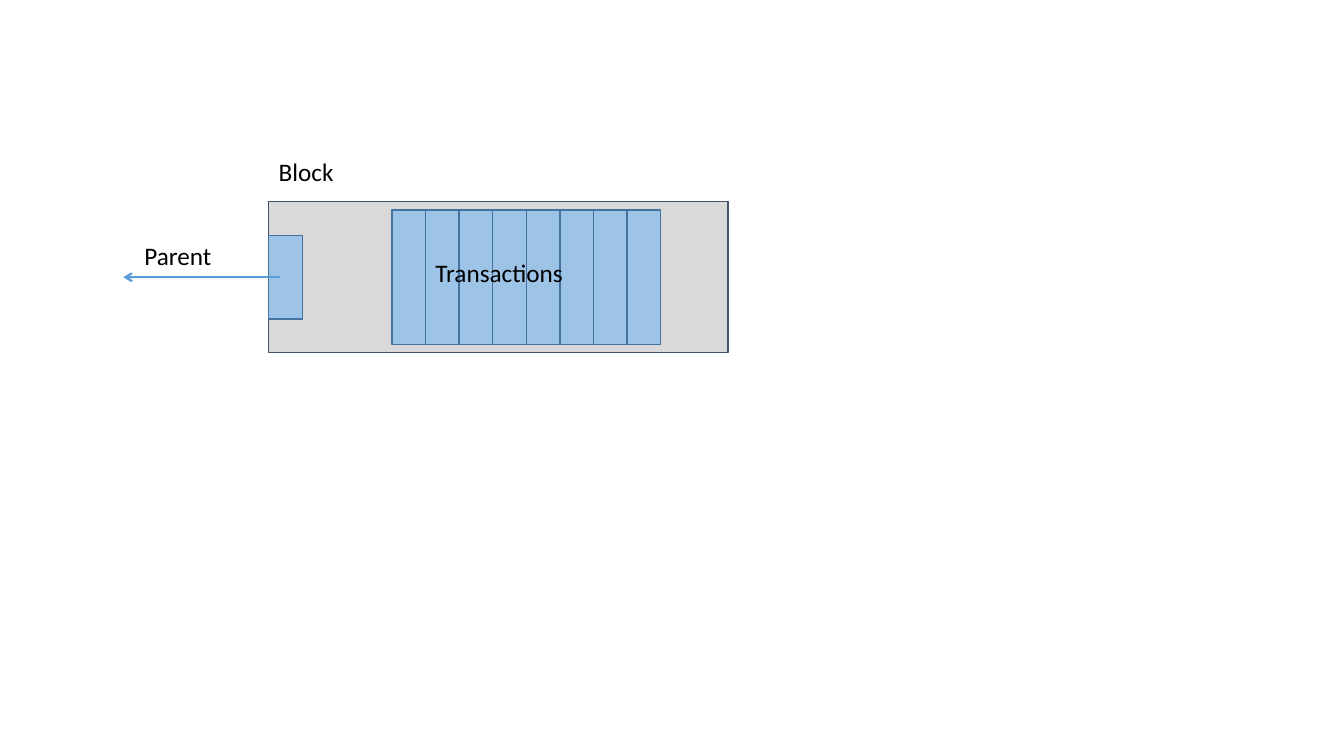
"""Draw a block with its transactions and a link to its parent."""
import pptx
import pptx.dml.color
import pptx.enum.shapes
import pptx.enum.text
import pptx.oxml.ns
import pptx.util
from lxml import etree

Pt = pptx.util.Pt
RGBColor = pptx.dml.color.RGBColor
BLACK = RGBColor(0x00, 0x00, 0x00)
GREY = RGBColor(0xD9, 0xD9, 0xD9)
SLATE = RGBColor(0x44, 0x54, 0x6A)
PALE = RGBColor(0x9D, 0xC3, 0xE6)
STEEL = RGBColor(0x43, 0x73, 0x9E)
BLUE = RGBColor(0x5B, 0x9B, 0xD5)


def write(frame, text, font="Calibri", size=18, color=BLACK):
    run = frame.paragraphs[0].add_run()
    run.text = text
    run.font.name = font
    run.font.size = Pt(size)
    run.font.color.rgb = color


class Sketch:
    def __init__(self, slide, fill=PALE, edge=STEEL):
        self.slide = slide
        self.fill = fill
        self.edge = edge

    def box(self, left, top, width, height, fill=None, edge=None):
        kind = pptx.enum.shapes.MSO_SHAPE.RECTANGLE
        shape = self.slide.shapes.add_shape(
            kind, Pt(left), Pt(top), Pt(width), Pt(height))
        shape.shadow.inherit = False
        shape.fill.solid()
        shape.fill.fore_color.rgb = fill or self.fill
        shape.line.color.rgb = edge or self.edge
        shape.line.width = Pt(1)

    def arrow(self, start, end, y):
        kind = pptx.enum.shapes.MSO_CONNECTOR.STRAIGHT
        link = self.slide.shapes.add_connector(
            kind, Pt(start), Pt(y), Pt(end), Pt(y))
        link.line.color.rgb = BLUE
        link.line.width = Pt(1.5)
        qn = pptx.oxml.ns.qn
        props = link.line._get_or_add_ln()
        etree.SubElement(props, qn("a:tailEnd"), type="arrow")
        etree.SubElement(link._element.spPr, qn("a:effectLst"))

    def label(self, text, left, top, width):
        box = self.slide.shapes.add_textbox(
            Pt(left), Pt(top), Pt(width), Pt(29))
        frame = box.text_frame
        frame.word_wrap = False
        frame.auto_size = pptx.enum.text.MSO_AUTO_SIZE.SHAPE_TO_FIT_TEXT
        write(frame, text)


def main():
    deck = pptx.Presentation()
    deck.slide_width = Pt(960)
    deck.slide_height = Pt(540)
    sketch = Sketch(deck.slides.add_slide(deck.slide_layouts[6]))

    sketch.box(192, 144, 328, 108, fill=GREY, edge=SLATE)
    sketch.box(192, 168, 24, 60)
    for index in range(8):
        sketch.box(280 + 24 * index, 150, 24, 96)
    sketch.arrow(200, 88, 198)
    sketch.label("Block", 192, 108, 54)
    sketch.label("Transactions", 304, 180, 106.5)
    sketch.label("Parent", 96, 168, 62.5)

    deck.save("out.pptx")


if __name__ == "__main__":
    main()
